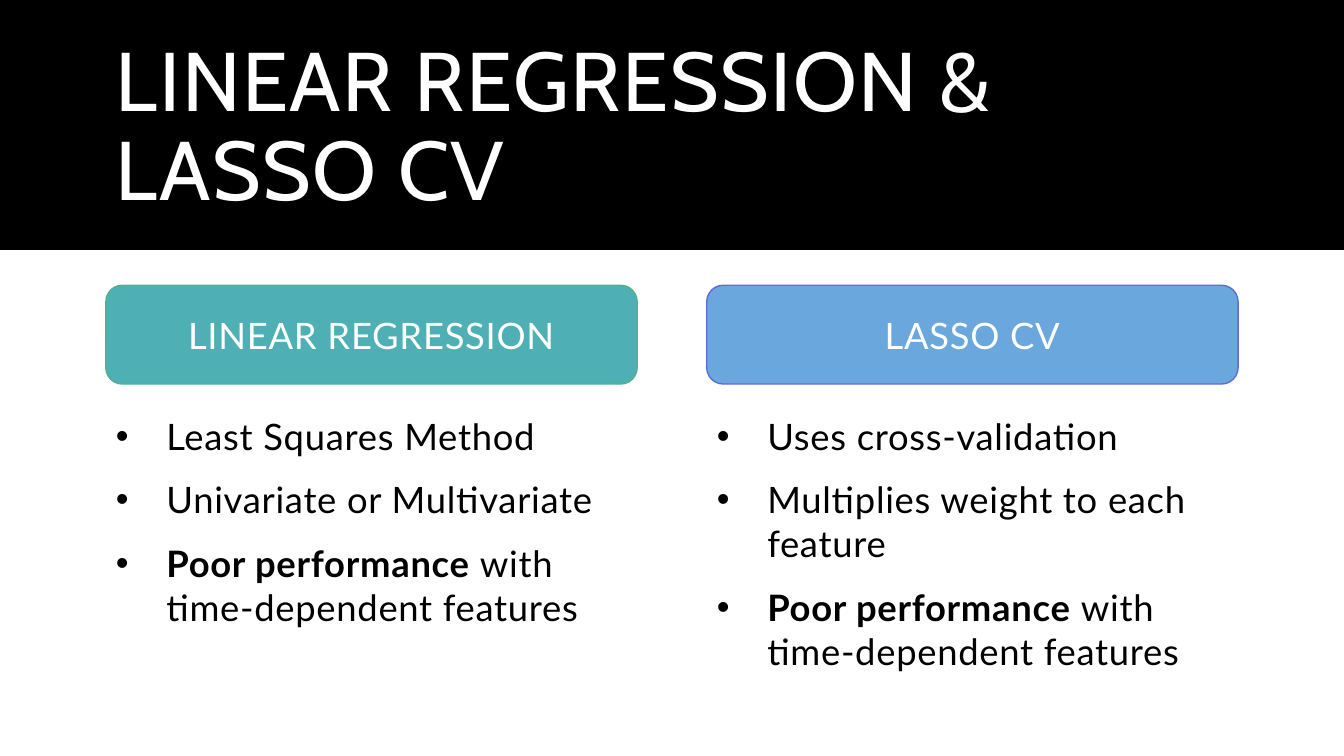
"""Builds a slide comparing linear regression with Lasso CV."""
from lxml import etree
from pptx import Presentation
from pptx.dml.color import RGBColor
from pptx.enum.shapes import MSO_SHAPE
from pptx.enum.text import MSO_ANCHOR, MSO_AUTO_SIZE, PP_ALIGN
from pptx.oxml.ns import qn
from pptx.util import Inches, Pt

RECT, ROUNDED = MSO_SHAPE.RECTANGLE, MSO_SHAPE.ROUNDED_RECTANGLE
TOP, MIDDLE = MSO_ANCHOR.TOP, MSO_ANCHOR.MIDDLE
LEFT, CENTER = PP_ALIGN.LEFT, PP_ALIGN.CENTER
NO_FIT = MSO_AUTO_SIZE.NONE

THEME = {
    "black": RGBColor.from_string("000000"),
    "white": RGBColor.from_string("FFFFFF"),
    "teal": RGBColor.from_string("4EAFB5"),
    "teal_line": RGBColor.from_string("54B190"),
    "blue": RGBColor.from_string("69A7DD"),
    "blue_line": RGBColor.from_string("5E6CDB"),
    "title": {"name": "Cabin", "size": Pt(59.4)},
    "text": {"name": "Lato", "size": Pt(26)},
}
MARGIN, COL_W, COL_STEP = 1.05, 5.27, 5.96
BAND_H, HEAD_TOP, HEAD_H, LIST_TOP, LIST_H = 2.48, 2.83, 0.98, 4.05, 2.83

CLOSING = [("Poor performance ", True), ("with time-dependent features", False)]
COLUMNS = [
    ("LINEAR REGRESSION", "teal", [
        [("Least Squares Method", False)],
        [("Univariate or Multivariate", False)],
        CLOSING]),
    ("LASSO CV", "blue", [
        [("Uses cross-validation", False)],
        [("Multiplies weight to each feature", False)],
        CLOSING]),
]


def place(sp, left, top, width, height, anchor):
    """Position a shape and prepare its text frame."""
    box = {"left": left, "top": top, "width": width, "height": height}
    for key, value in box.items():
        setattr(sp, key, Inches(value))
    tf = sp.text_frame
    frame = {"word_wrap": True, "auto_size": NO_FIT, "vertical_anchor": anchor}
    for key, value in frame.items():
        setattr(tf, key, value)
    return tf


def add_runs(p, runs, style, color, tracking, align, spacing):
    """Fill a paragraph with (text, bold) runs."""
    p.alignment, p.line_spacing = align, spacing
    for text, bold in runs:
        r = p.add_run()
        r.text = text
        for key, value in {**THEME[style], "bold": bold}.items():
            setattr(r.font, key, value)
        r.font.color.rgb = THEME[color]
        r._r.get_or_add_rPr().set("spc", str(tracking))


prs = Presentation()
prs.slide_width, prs.slide_height = Inches(13.33), Inches(7.5)
s = prs.slides.add_slide(prs.slide_layouts[3])

band = s.shapes.add_shape(RECT, 0, 0, prs.slide_width, Inches(BAND_H))
band.shadow.inherit = False
band.fill.solid()
band.fill.fore_color.rgb = THEME["black"]
band.line.fill.background()
s.shapes._spTree.insert(2, band._element)

tf = place(s.shapes.title, MARGIN, 0.35, COL_STEP + COL_W, 1.86, MIDDLE)
add_runs(tf.paragraphs[0], [("LINEAR REGRESSION & LASSO CV", False)],
         "title", "white", 120, LEFT, 0.9)

for col, (heading, color, items) in enumerate(COLUMNS):
    left = MARGIN + col * COL_STEP
    sp = s.shapes.add_shape(ROUNDED, 0, 0, 0, 0)
    tf = place(sp, left, HEAD_TOP, COL_W, HEAD_H, MIDDLE)
    sp.shadow.inherit = False
    sp.fill.solid()
    sp.fill.fore_color.rgb = THEME[color]
    sp.line.color.rgb = THEME[color + "_line"]
    sp.line.width = Pt(1)
    add_runs(tf.paragraphs[0], [(heading, False)], "text", "white", 50, CENTER, 1.01)

    tf = place(s.placeholders[col + 1], left, LIST_TOP, COL_W, LIST_H, TOP)
    for row, runs in enumerate(items):
        p = tf.add_paragraph() if row else tf.paragraphs[0]
        pPr = p._p.get_or_add_pPr()
        pPr.set("marL", str(Inches(0.5)))
        pPr.set("indent", str(Inches(-0.5)))
        etree.SubElement(pPr, qn("a:buFont"), typeface="Arial")
        etree.SubElement(pPr, qn("a:buChar"), char="•")
        p.space_before, p.space_after = Pt(7 if row else 0), Pt(7)
        add_runs(p, runs, "text", "black", 50, LEFT, 1.01)

for sp in list(s.placeholders):
    if not sp.text_frame.text:
        sp._element.getparent().remove(sp._element)

prs.save("out.pptx")
